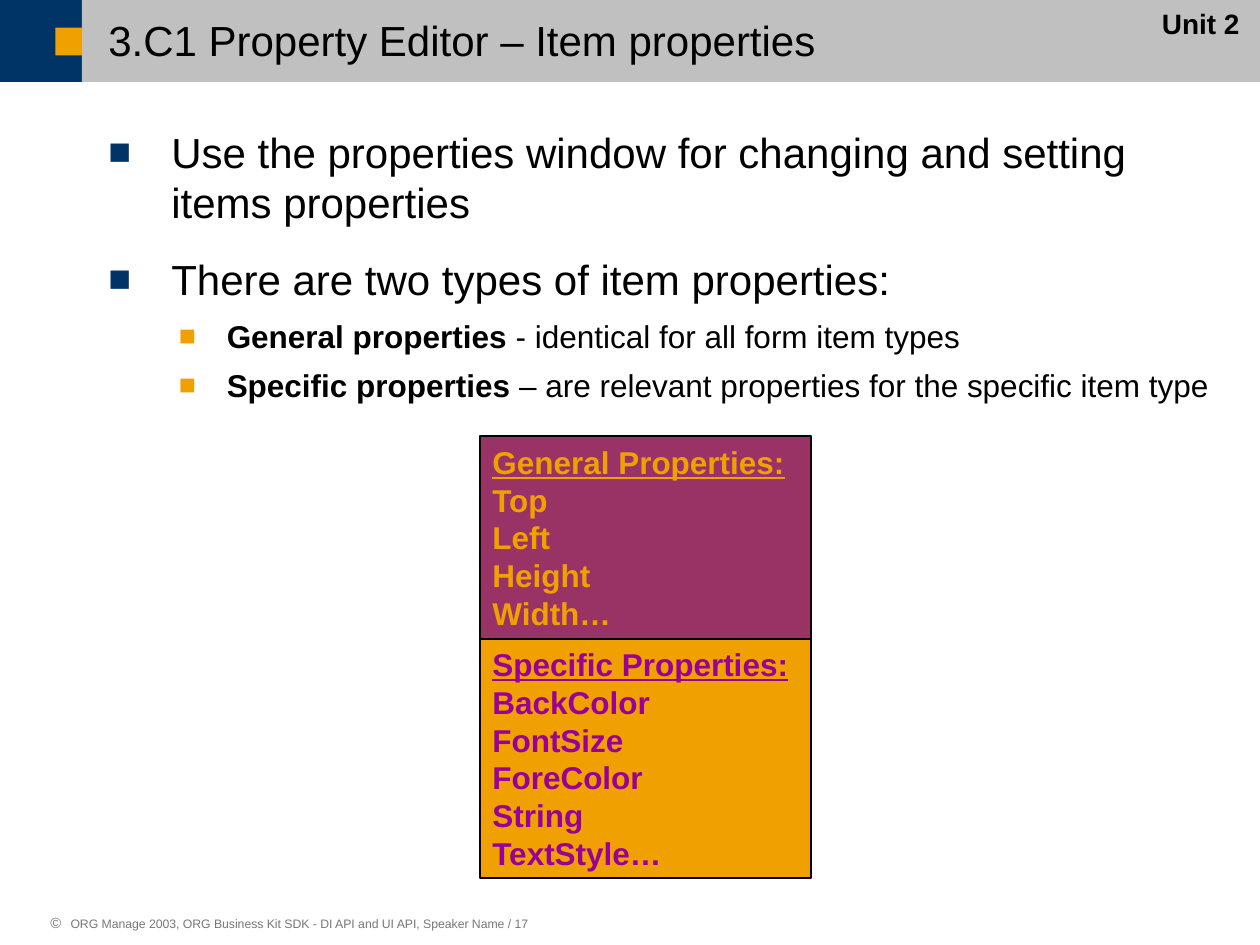
"""Build the slide on general and specific item properties."""
from dataclasses import dataclass
from typing import Optional

import pptx
import pptx.dml.color
import pptx.enum.shapes
import pptx.enum.text
import pptx.oxml
import pptx.oxml.ns
import pptx.util

RGBColor = pptx.dml.color.RGBColor
ALIGN = pptx.enum.text.PP_ALIGN
ANCHOR = pptx.enum.text.MSO_ANCHOR

NAVY = RGBColor(0x00, 0x33, 0x66)
SILVER = RGBColor(0xC0, 0xC0, 0xC0)
ORANGE = RGBColor(0xF0, 0xA0, 0x00)
PLUM = RGBColor(0x99, 0x33, 0x66)
PURPLE = RGBColor(0x99, 0x00, 0x99)
GRAY = RGBColor(0x77, 0x77, 0x77)
BLACK = RGBColor(0x00, 0x00, 0x00)

COLS, ROWS = 100, 75
CELL = pptx.util.Inches(0.1)


@dataclass(frozen=True)
class Area:
    """A rectangle in grid columns and rows."""
    col: float
    row: float
    cols: float
    rows: float

    def emu(self) -> list[int]:
        """Return left, top, width and height in EMU."""
        return [round(v * CELL) for v in (self.col, self.row, self.cols, self.rows)]


@dataclass(frozen=True)
class Bullet:
    """A bullet with its hanging indent in columns."""
    char: str
    color: RGBColor
    percent: int
    margin: float
    hang: float


@dataclass(frozen=True)
class Item:
    """A body paragraph with an optional bold lead."""
    lead: str
    text: str
    level: int


@dataclass(frozen=True)
class Level:
    """The format of one outline level."""
    size: int
    before: float
    after: float
    bullet: Bullet


@dataclass(frozen=True)
class Panel:
    """A filled list of properties under a heading."""
    area: Area
    fill: RGBColor
    color: RGBColor
    heading: str
    names: tuple[str, ...]


LEVELS = (
    Level(24, 12, 3, Bullet("■", NAVY, 90, 5, 5)),
    Level(18, 4.5, 2.2, Bullet("■", ORANGE, 90, 9.4, 3.8)),
)
ITEMS = (
    Item("", "Use the properties window for changing and setting items properties", 0),
    Item("", "There are two types of item properties:", 0),
    Item("General properties ", "- identical for all form item types", 1),
    Item("Specific properties", " – are relevant properties for the specific item type", 1),
)
BAND = 6.5
BLOCKS = (
    (Area(0, 0, BAND, BAND), NAVY),
    (Area(BAND, 0, COLS - BAND, BAND), SILVER),
    (Area(4.4, 2.2, 2.1, 2.2), ORANGE),
)
PANELS = (
    Panel(Area(38.1, 50.7, 26.3, 19), ORANGE, PURPLE, "Specific Properties:",
          ("BackColor", "FontSize", "ForeColor", "String", "TextStyle…")),
    Panel(Area(38.1, 34.6, 26.3, 16.1), PLUM, ORANGE, "General Properties:",
          ("Top", "Left", "Height", "Width…")),
)


def add_block(s, area: Area, fill: RGBColor, line: Optional[RGBColor] = None):
    """Draw a flat rectangle, outlined when a line colour is given."""
    sp = s.shapes.add_shape(pptx.enum.shapes.MSO_SHAPE.RECTANGLE, *area.emu())
    sp.shadow.inherit = False
    sp.fill.solid()
    sp.fill.fore_color.rgb = fill
    if line is None:
        sp.line.fill.background()
    else:
        sp.line.color.rgb = line
        sp.line.width = pptx.util.Pt(1)
    return sp


def set_frame(tf, *, left: float = 0, right: float = 0, pad: float = 0,
              anchor=ANCHOR.TOP) -> None:
    """Set wrapping, anchor and insets in grid units."""
    tf.word_wrap = True
    tf.vertical_anchor = anchor
    tf.margin_left, tf.margin_right = round(left * CELL), round(right * CELL)
    tf.margin_top = tf.margin_bottom = round(pad * CELL)


def add_box(s, area: Area, **frame):
    """Add a text box and return its text frame."""
    tf = s.shapes.add_textbox(*area.emu()).text_frame
    set_frame(tf, **frame)
    return tf


def add_paragraph(tf, *, align=ALIGN.LEFT, spacing: Optional[float] = None,
                  before: float = 0, after: float = 0, bullet: Optional[Bullet] = None):
    """Start a paragraph, using the empty first one if it is free."""
    p = tf.paragraphs[0] if not tf.paragraphs[0].runs else tf.add_paragraph()
    p.alignment = align
    p.space_before, p.space_after = pptx.util.Pt(before), pptx.util.Pt(after)
    if spacing is not None:
        p.line_spacing = spacing
    if bullet is not None:
        add_bullet(p, bullet)
    return p


def add_bullet(p, bullet: Bullet) -> None:
    """Give a paragraph its bullet and hanging indent."""
    pr = p._p.get_or_add_pPr()
    pr.set("marL", str(round(bullet.margin * CELL)))
    pr.set("indent", str(-round(bullet.hang * CELL)))
    ns = pptx.oxml.ns.nsdecls("a")
    for xml in (
        f'<a:buClr {ns}><a:srgbClr val="{bullet.color}"/></a:buClr>',
        f'<a:buSzPct {ns} val="{bullet.percent * 1000}"/>',
        f'<a:buFont {ns} typeface="Arial"/>',
        f'<a:buChar {ns} char="{bullet.char}"/>',
    ):
        pr.append(pptx.oxml.parse_xml(xml))


def add_text(p, text: str, *, size: float, color: RGBColor = BLACK,
             bold: bool = False, underline: bool = False) -> None:
    """Add a formatted run to a paragraph."""
    r = p.add_run()
    r.text = text
    r.font.name, r.font.size = "Arial", pptx.util.Pt(size)
    r.font.bold, r.font.underline = bold, underline
    r.font.color.rgb = color


def add_panel(s, panel: Panel) -> None:
    """Draw a panel with an underlined heading and its names."""
    tf = add_block(s, panel.area, panel.fill, BLACK).text_frame
    set_frame(tf, left=1, right=1, pad=0.5, anchor=ANCHOR.MIDDLE)
    for i, text in enumerate((panel.heading, *panel.names)):
        add_text(add_paragraph(tf), text, size=18, color=panel.color,
                 bold=True, underline=i == 0)


def main() -> None:
    """Build and save the slide."""
    prs = pptx.Presentation()
    prs.slide_width, prs.slide_height = COLS * CELL, ROWS * CELL
    s = prs.slides.add_slide(prs.slide_layouts[6])

    for area, fill in BLOCKS:
        add_block(s, area, fill)

    tf = add_box(s, Area(4, 72.8, 61.1, 1.1), anchor=ANCHOR.MIDDLE)
    p = add_paragraph(tf, spacing=0.9, bullet=Bullet("©", GRAY, 120, 1.6, 1.6))
    add_text(p, "ORG Manage 2003, ORG Business Kit SDK - DI API and UI API, Speaker Name / 17",
             size=7, color=GRAY)

    tf = add_box(s, Area(6.6, 1.3, 91.6, 4.2), left=2, anchor=ANCHOR.MIDDLE)
    add_text(add_paragraph(tf, spacing=0.9), "3.C1 Property Editor – Item properties", size=24)

    tf = add_box(s, Area(6.6, 10, 89.4, 56.9), left=2)
    for item in ITEMS:
        level = LEVELS[item.level]
        p = add_paragraph(tf, before=level.before, after=level.after, bullet=level.bullet)
        p.level = item.level
        if item.lead:
            add_text(p, item.lead, size=level.size, bold=True)
        add_text(p, item.text, size=level.size)

    tf = add_box(s, Area(90.6, 0, 9.4, 3.7), left=1, right=1, pad=0.5)
    add_text(add_paragraph(tf, align=ALIGN.CENTER, before=10), "Unit 2", size=16, bold=True)

    for panel in PANELS:
        add_panel(s, panel)
    prs.save("out.pptx")


if __name__ == "__main__":
    main()
